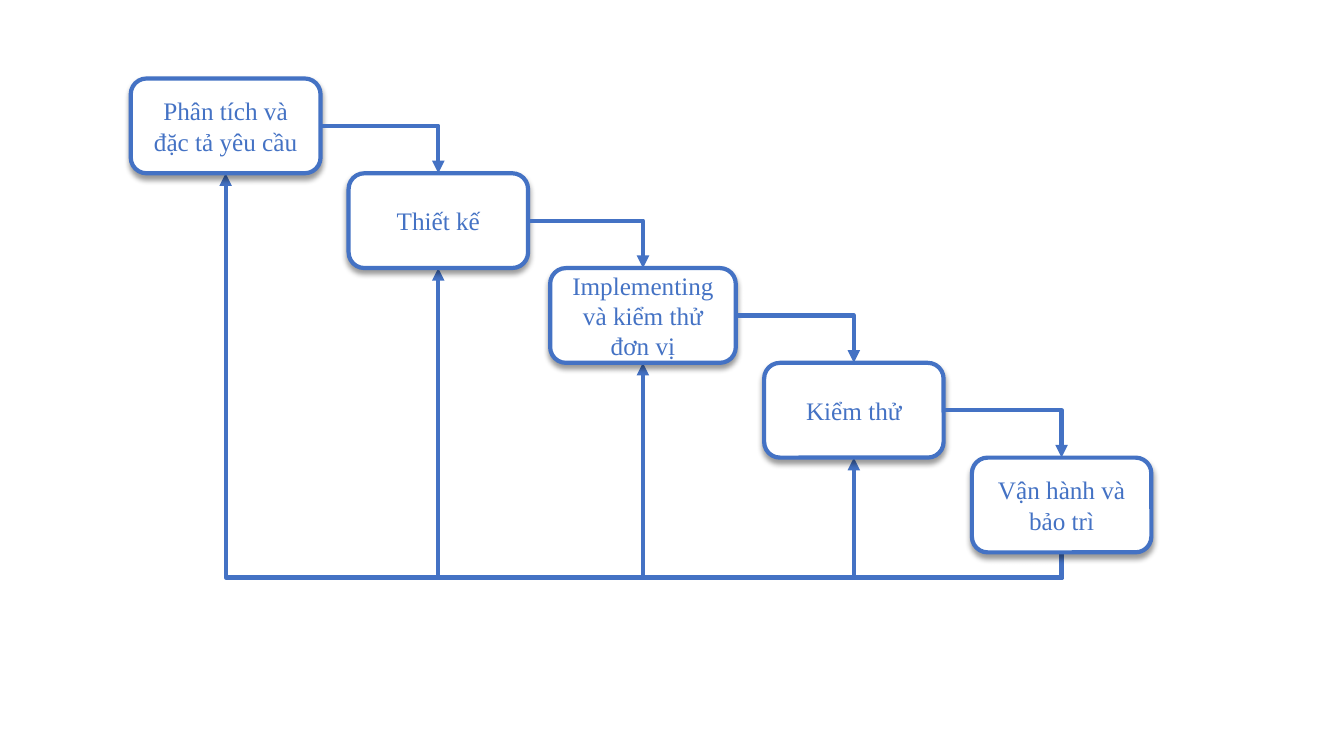
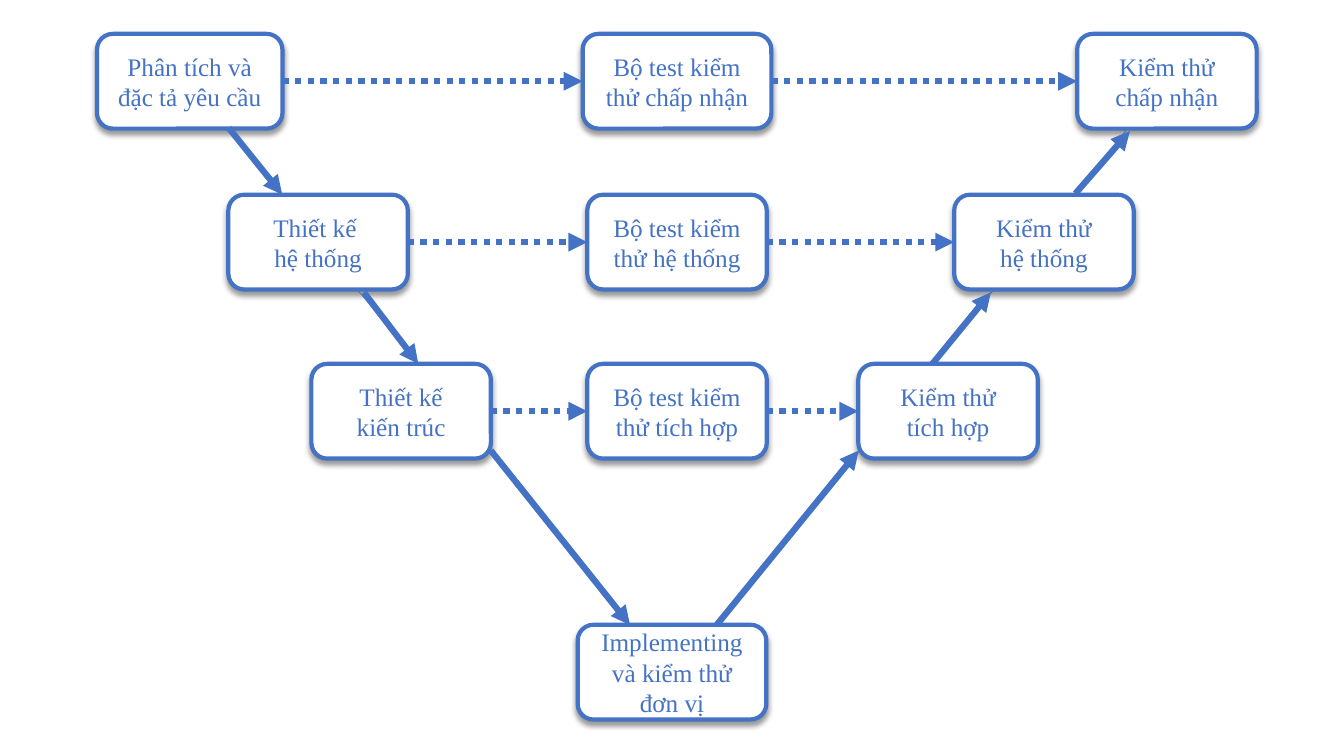
from lxml.etree import SubElement
from pptx import Presentation
from pptx.dml.color import RGBColor
from pptx.enum.dml import MSO_LINE_DASH_STYLE as Dash
from pptx.enum.shapes import MSO_CONNECTOR as Link, MSO_SHAPE as Preset
from pptx.enum.text import MSO_ANCHOR as Anchor, PP_ALIGN as Align
from pptx.oxml.ns import qn
from pptx.util import Pt

COLORS = {"blue": "4472C4", "white": "FFFFFF", "shadow": "000000"}
FONT = "Times New Roman"
BOX_WIDTH, BOX_HEIGHT = 128.2, 67.7
TOP, LEFT, BOTTOM, RIGHT = range(4)

WATERFALL_TOP = 56.1
LOOP_DROP = 18
WATERFALL = [
    ("Phân tích và đặc tả yêu cầu", 93.4, 135.6),
    ("Thiết kế", 249, BOX_WIDTH),
    ("Implementing và kiểm thử đơn vị", 393, 132.6),
    ("Kiểm thử", 545.8, BOX_WIDTH),
    ("Vận hành và bảo trì", 694.2, BOX_WIDTH),
]

V_ROWS = [
    (24.2, [("Phân tích và đặc tả yêu cầu", 69.3, 132.5),
            ("Bộ test kiểm thử chấp nhận", 416.2, 134.8),
            ("Kiểm thử\nchấp nhận", 769.4, BOX_WIDTH)]),
    (139.1, [("Thiết kế \nhệ thống", 163.1, BOX_WIDTH),
             ("Bộ test kiểm thử hệ thống", 419.5, BOX_WIDTH),
             ("Kiểm thử\nhệ thống", 681.6, BOX_WIDTH)]),
    (259.9, [("Thiết kế\nkiến trúc", 222.4, BOX_WIDTH),
             ("Bộ test kiểm thử tích hợp", 419.5, BOX_WIDTH),
             ("Kiểm thử\ntích hợp", 613.1, BOX_WIDTH)]),
]
V_BASE = ("Implementing và kiểm thử đơn vị", 412.6, 446.3, 134.8)
V_GUIDES = [(133.9, 57.6, 480.2, 483.8), (480.2, 483.8, 833.8, 57.6)]
V_ARROWS = [
    (163.4, 91.4, 201.6, 139),
    (259.9, 208.8, 298.8, 259.9),
    (350.6, 321.8, 450, 446.4),
    (511.9, 446.4, 613.4, 321.8),
    (666, 259.9, 707.8, 208.8),
    (768.2, 138.2, 807.1, 93.6),
]


def color(name):
    return RGBColor.from_string(COLORS[name])


def add_box(page, text, left, top, width):
    box = page.shapes.add_shape(
        Preset.ROUNDED_RECTANGLE, Pt(left), Pt(top), Pt(width), Pt(BOX_HEIGHT))
    box.fill.solid()
    box.fill.fore_color.rgb = color("white")
    box.line.color.rgb = color("blue")
    box.line.width = Pt(3)
    box.shadow.inherit = False
    effects = box.element.spPr.find(qn("a:effectLst"))
    shadow = SubElement(effects, qn("a:outerShdw"), blurRad=str(Pt(4)),
                        dist=str(Pt(3)), dir="5400000", algn="t", rotWithShape="0")
    shade = SubElement(shadow, qn("a:srgbClr"), val=COLORS["shadow"])
    SubElement(shade, qn("a:alpha"), val="40000")
    frame = box.text_frame
    frame.word_wrap = True
    frame.vertical_anchor = Anchor.MIDDLE
    para = frame.paragraphs[0]
    para.text = text
    para.alignment = Align.CENTER
    para.font.name = FONT
    para.font.size = Pt(18)
    para.font.color.rgb = color("blue")
    return box


def add_line(page, weight, points=(0, 0, 0, 0), kind=Link.STRAIGHT, arrow=True):
    line = page.shapes.add_connector(kind, *map(Pt, points))
    line.line.color.rgb = color("blue")
    line.line.width = Pt(weight)
    if arrow:
        SubElement(line.line._get_or_add_ln(), qn("a:tailEnd"), type="triangle")
    SubElement(line.element.spPr, qn("a:effectLst"))
    return line


def join(page, start, start_site, end, end_site, weight, kind=Link.STRAIGHT):
    line = add_line(page, weight, kind=kind)
    line.begin_connect(start, start_site)
    line.end_connect(end, end_site)
    return line


def add_step(page, start, end):
    step = join(page, start, RIGHT, end, TOP, 3, Link.ELBOW)
    step.element.spPr.find(qn("a:prstGeom")).set("prst", "bentConnector2")


def add_loop(page, start, end):
    loop = join(page, start, BOTTOM, end, BOTTOM, 3, Link.ELBOW)
    across = loop.begin_x - loop.end_x
    rise = loop.begin_y - loop.end_y
    middle_x = (loop.begin_x + loop.end_x) // 2
    middle_y = (loop.begin_y + loop.end_y) // 2
    frame = loop.element.spPr.find(qn("a:xfrm"))
    for name in ("flipH", "flipV"):
        frame.attrib.pop(name, None)
    frame.set("rot", "5400000")
    frame.set("flipH", "1")
    loop.left, loop.top = middle_x - rise // 2, middle_y - across // 2
    loop.width, loop.height = rise, across
    guides = loop.element.spPr.find(qn("a:prstGeom")).get_or_add_avLst()
    bend = round(-Pt(LOOP_DROP) / rise * 100000)
    SubElement(guides, qn("a:gd"), name="adj1", fmla=f"val {bend}")
    page.shapes._spTree.remove(loop.element)
    page.shapes._spTree.insert(2, loop.element)


def draw_waterfall(page):
    boxes = [add_box(page, text, left, WATERFALL_TOP + row * BOX_HEIGHT, width)
             for row, (text, left, width) in enumerate(WATERFALL)]
    for start, end in zip(boxes, boxes[1:]):
        add_step(page, start, end)
    for end in boxes[:-1]:
        add_loop(page, boxes[-1], end)


def draw_v_model(page):
    for points in V_GUIDES:
        add_line(page, 0.25, points, arrow=False)
    add_box(page, *V_BASE)
    for top, cells in V_ROWS:
        boxes = [add_box(page, text, left, top, width) for text, left, width in cells]
        for start, end in zip(boxes, boxes[1:]):
            dotted = join(page, start, RIGHT, end, LEFT, 4.5)
            dotted.line.dash_style = Dash.ROUND_DOT
    for points in V_ARROWS:
        add_line(page, 4.5, points)


def main():
    deck = Presentation()
    deck.slide_width, deck.slide_height = Pt(960), Pt(540)
    for draw in (draw_waterfall, draw_v_model):
        draw(deck.slides.add_slide(deck.slide_layouts[6]))
    deck.save("out.pptx")


if __name__ == "__main__":
    main()
